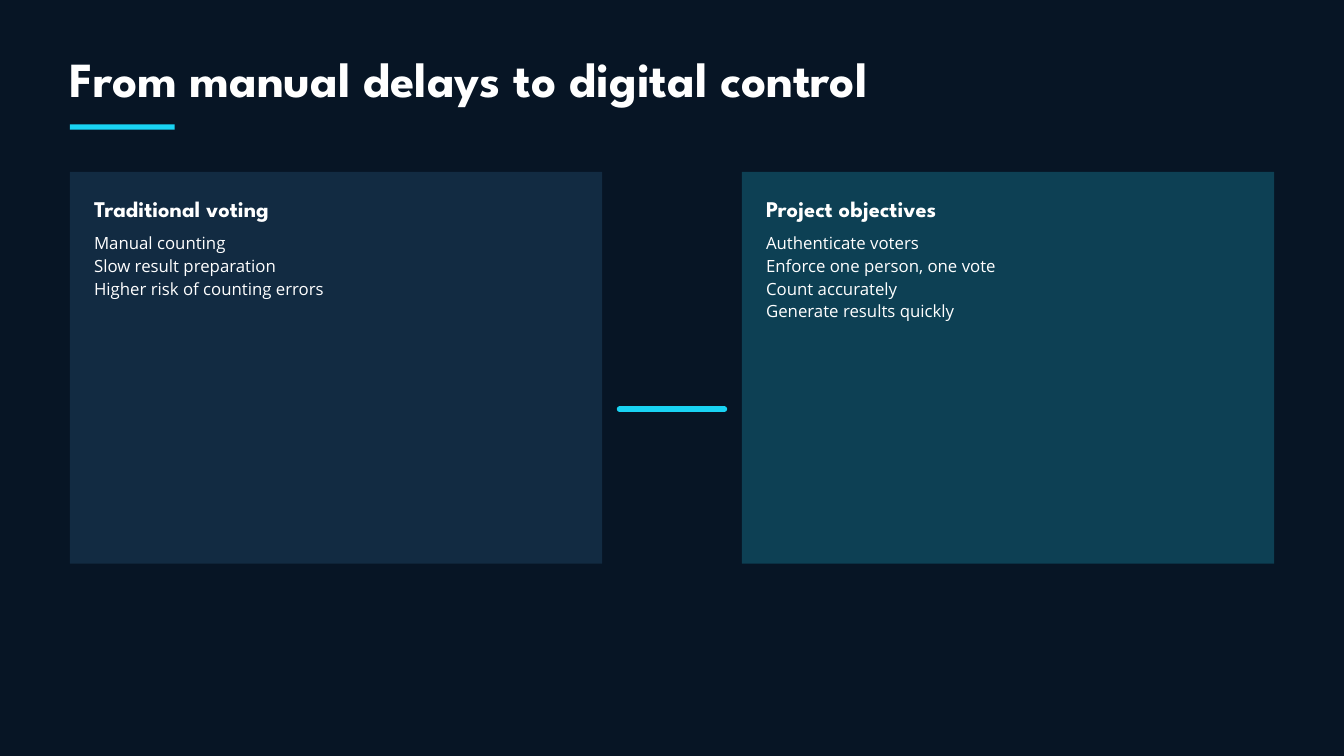
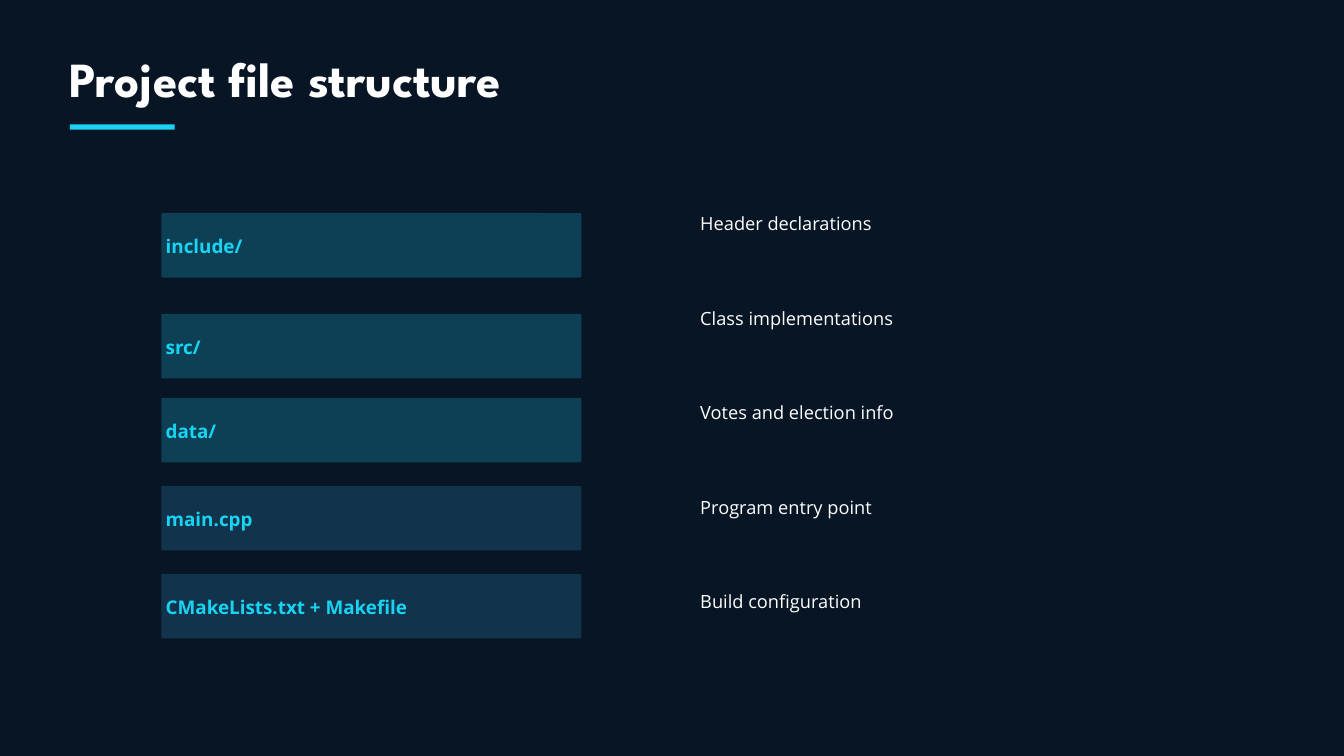
import pptx
import pptx.util
import pptx.dml.color
import pptx.enum.shapes
import pptx.enum.text
import pptx.oxml
import pptx.oxml.ns

Inches, Pt = pptx.util.Inches, pptx.util.Pt
RGBColor = pptx.dml.color.RGBColor
SHAPE = pptx.enum.shapes.MSO_SHAPE
ANCHOR = pptx.enum.text.MSO_ANCHOR

NAVY = RGBColor(0x07, 0x15, 0x25)
CYAN = RGBColor(0x19, 0xD3, 0xF3)
SLATE = RGBColor(0x12, 0x2B, 0x42)
TEAL = RGBColor(0x0D, 0x40, 0x54)
STEEL = RGBColor(0x12, 0x33, 0x4C)
WHITE = RGBColor(0xFF, 0xFF, 0xFF)

VOTING_TITLE = "From manual delays to digital control"
CARDS = [
    ("Traditional voting", SLATE,
     ["Manual counting", "Slow result preparation", "Higher risk of counting errors"]),
    ("Project objectives", TEAL,
     ["Authenticate voters", "Enforce one person, one vote", "Count accurately",
      "Generate results quickly"]),
]
FILES_TITLE = "Project file structure"
FILES = [
    ("include/", "Header declarations", TEAL, 3.17),
    ("src/", "Class implementations", TEAL, 4.67),
    ("data/", "Votes and election info", TEAL, 5.92),
    ("main.cpp", "Program entry point", STEEL, 7.23),
    ("CMakeLists.txt + Makefile", "Build configuration", STEEL, 8.54),
]

HEADING, BODY = "League Spartan", "Open Sans"
STYLES = {
    "title": (55.1, dict(name=HEADING, size=Pt(52.5), bold=True), WHITE),
    "card": (33.6, dict(name=HEADING, size=Pt(24), bold=True), WHITE),
    "list": (24.3, dict(name=BODY, size=Pt(18), bold=False), WHITE),
    "file": (28.4, dict(name=BODY, size=Pt(20.2), bold=True), CYAN),
    "role": (26.3, dict(name=BODY, size=Pt(19.5), bold=False), WHITE),
}

W, H = 20, 11.25
MARGIN = 1.04
RULE_W = 1.56
CARD_TOP, CARD_W, CARD_H, CARD_PAD = 2.56, 7.92, 5.83, 0.36
LINK_Y = 6.09
FILE_LEFT, FILE_W, FILE_H = 2.4, 6.25, 0.96
ROLE_LEFT, ROLE_W, ROLE_TOP, ROLE_LAST = 10.42, 6.46, 3.12, 8.75


def write(tf, lines, style, insets=(0, 0, 0, 0), anchor=ANCHOR.TOP):
    spacing, font, color = STYLES[style]
    frame = dict(zip(("margin_left", "margin_top", "margin_right", "margin_bottom"),
                     map(Inches, insets)), word_wrap=True, vertical_anchor=anchor)
    for key, value in frame.items():
        setattr(tf, key, value)
    for i, line in enumerate(lines):
        p = tf.paragraphs[0] if i == 0 else tf.add_paragraph()
        p.line_spacing = Pt(spacing)
        p.alignment = pptx.enum.text.PP_ALIGN.LEFT
        r = p.add_run()
        r.text = line
        for key, value in font.items():
            setattr(r.font, key, value)
        r.font.color.rgb = color


def add_text(slide, x, y, w, lines, style):
    h = len(lines) * STYLES[style][0] / 72
    box = slide.shapes.add_textbox(*map(Inches, (x, y, w, h)))
    write(box.text_frame, lines, style)
    box.text_frame.auto_size = pptx.enum.text.MSO_AUTO_SIZE.SHAPE_TO_FIT_TEXT


def add_block(slide, x, y, w, h, color, kind=SHAPE.RECTANGLE):
    sp = slide.shapes.add_shape(kind, *map(Inches, (x, y, w, h)))
    sp.shadow.inherit = False
    sp.fill.solid()
    sp.fill.fore_color.rgb = color
    sp.line.fill.background()
    return sp


def add_link(slide, x1, x2, y):
    line = slide.shapes.add_connector(pptx.enum.shapes.MSO_CONNECTOR.STRAIGHT,
                                      *map(Inches, (x1, y, x2, y)))
    line.line.color.rgb = CYAN
    line.line.width = Pt(6)
    spPr = line._element.spPr
    spPr.find(pptx.oxml.ns.qn("a:ln")).set("cap", "rnd")
    spPr.append(pptx.oxml.parse_xml(
        "<a:effectLst %s/>" % pptx.oxml.ns.nsdecls("a")))


def add_slide(prs, title):
    slide = prs.slides.add_slide(prs.slide_layouts[6])
    slide.background.fill.solid()
    slide.background.fill.fore_color.rgb = NAVY
    add_text(slide, MARGIN, 0.83, 15.62, [title], "title")
    add_block(slide, MARGIN, 1.85, RULE_W, 0.08, CYAN)
    return slide


def voting_slide(prs):
    slide = add_slide(prs, VOTING_TITLE)
    for i, (heading, color, points) in enumerate(CARDS):
        x = MARGIN + i * (W - 2 * MARGIN - CARD_W)
        add_block(slide, x, CARD_TOP, CARD_W, CARD_H, color)
        text_x, text_w = x + CARD_PAD, CARD_W - 2 * CARD_PAD
        add_text(slide, text_x, CARD_TOP + 0.27, text_w, [heading], "card")
        add_text(slide, text_x, CARD_TOP + 0.87, text_w, points, "list")
    add_link(slide, (W - RULE_W) / 2, (W + RULE_W) / 2, LINK_Y)


def files_slide(prs):
    slide = add_slide(prs, FILES_TITLE)
    pitch = (ROLE_LAST - ROLE_TOP) / (len(FILES) - 1)
    for i, (name, role, color, top) in enumerate(FILES):
        bar = add_block(slide, FILE_LEFT, top, FILE_W, FILE_H, color,
                        SHAPE.ROUNDED_RECTANGLE)
        bar.adjustments[0] = 0.02
        write(bar.text_frame, [name], "file", (0.06, 0.06, 0.06, 0.1), ANCHOR.MIDDLE)
        add_text(slide, ROLE_LEFT, ROLE_TOP + i * pitch, ROLE_W, [role], "role")


def main():
    prs = pptx.Presentation()
    prs.slide_width, prs.slide_height = Inches(W), Inches(H)
    voting_slide(prs)
    files_slide(prs)
    prs.save("out.pptx")


if __name__ == "__main__":
    main()
